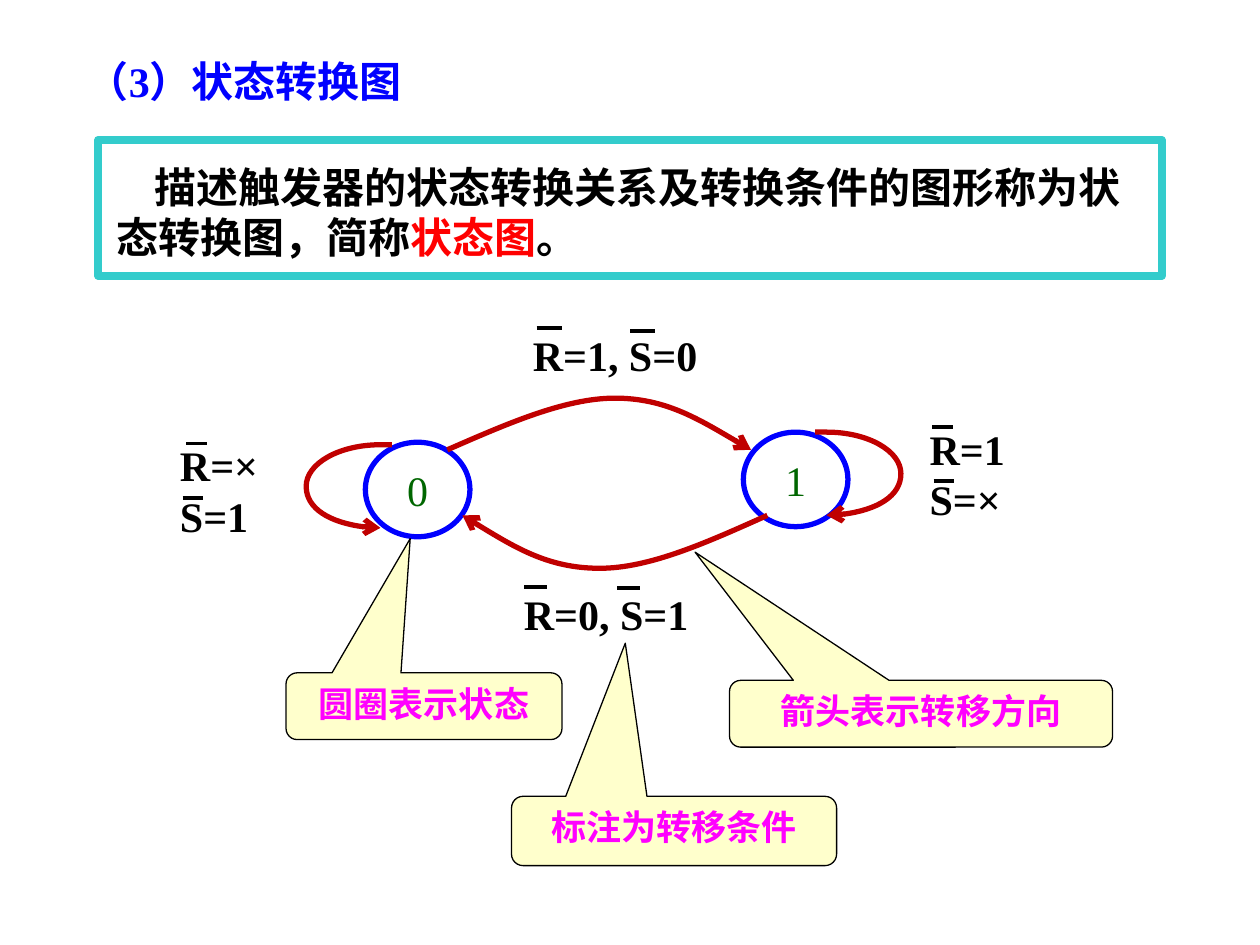
from lxml.etree import SubElement
from pptx import Presentation
from pptx.dml.color import RGBColor
from pptx.enum.shapes import MSO_CONNECTOR as Link, MSO_SHAPE as Kind
from pptx.enum.text import MSO_ANCHOR as Anchor, MSO_AUTO_SIZE as Fit, PP_ALIGN as Align
from pptx.oxml.ns import qn
from pptx.util import Emu, Pt

PX = 9144  # EMU per px, 100 px to the inch
HUES = {
    "blue": "0000FF", "black": "000000", "red": "FF0000", "teal": "33CCCC",
    "green": "006600", "brick": "C00000", "cream": "FFFFCC", "pink": "FF00FF",
}
ROMAN, SANS, HAN = "Times New Roman", "Arial", "Noto Sans CJK SC"


def px(*nums):
    return [Emu(n * PX) for n in nums]


def hue(name):
    return RGBColor.from_string(HUES[name])


class Board:
    def __init__(self, slide):
        self.slide = slide
        self.shapes = slide.shapes

    def style(self, par, color, size=24, face=ROMAN, bold=True, align=Align.LEFT):
        par.alignment = align
        font = par.font
        font.size, font.name, font.bold = Pt(size), face, bold
        font.color.rgb = hue(color)
        base = par._p.pPr.find(qn("a:defRPr"))
        base.find(qn("a:latin")).addnext(
            SubElement(base, qn("a:ea"), typeface=HAN))

    def title(self, text, box):
        shape = self.shapes.title
        shape.left, shape.top, shape.width, shape.height = px(*box)
        frame = shape.text_frame
        frame.text = text
        frame.auto_size = Fit.NONE
        frame.vertical_anchor = Anchor.TOP
        self.style(frame.paragraphs[0], "blue")

    def text(self, lines, box, color="black", face=ROMAN, space=None):
        frame = self.shapes.add_textbox(*px(*box)).text_frame
        frame.word_wrap = True
        frame.text = "\n".join(lines)
        for par in frame.paragraphs:
            par.line_spacing = space
            self.style(par, color, face=face)
        return frame.paragraphs[0]

    def pen(self, shape, color, width):
        shape.line.color.rgb = hue(color)
        shape.line.width = Pt(width)

    def shape(self, kind, box, line, width, fill=None):
        shape = self.shapes.add_shape(kind, *px(*box))
        shape.shadow.inherit = False
        self.pen(shape, line, width)
        if fill:
            shape.fill.solid()
            shape.fill.fore_color.rgb = hue(fill)
        else:
            shape.fill.background()
        return shape

    def state(self, text, x, y):
        frame = self.shape(Kind.OVAL, (x, y, 83, 75), "blue", 3).text_frame
        frame.word_wrap = False
        frame.vertical_anchor = Anchor.MIDDLE
        frame.text = text
        self.style(frame.paragraphs[0], "green", bold=False, align=Align.CENTER)

    def curve(self, start, *points):
        """Arrow along Bezier curves; each three points make one curve."""
        build = self.shapes.build_freeform(*start, scale=PX)
        build.add_line_segments(points, close=False)
        shape = build.convert_to_shape()
        shape.shadow.inherit = False
        shape.fill.background()
        self.pen(shape, "brick", 3)
        SubElement(shape.line._get_or_add_ln(), qn("a:tailEnd"), type="arrow")
        path = next(shape._element.iter(qn("a:path")))
        steps = path.findall(qn("a:lnTo"))
        for i in range(0, len(steps), 3):
            bend = SubElement(path, qn("a:cubicBezTo"))
            for step in steps[i:i + 3]:
                bend.append(step[0])
                path.remove(step)

    def loop(self, x, y, side):
        """Arrow from a state back to itself, bulging left (-1) or right (1)."""
        steps = [(3, 0), (6, 0), (9, 0), (42, 0), (68, 15), (68, 33),
                 (68, 51), (42, 66), (9, 66)]
        self.curve((x, y), *[(x + side * dx, y + dy) for dx, dy in steps])

    def bar(self, x, y, length):
        """Overline that marks a negated input."""
        line = self.shapes.add_connector(
            Link.STRAIGHT, *px(x, y, x + length, y))
        self.pen(line, "black", 2.25)
        SubElement(line._element.spPr, qn("a:effectLst"))

    def note(self, text, box, tip):
        shape = self.shape(
            Kind.ROUNDED_RECTANGULAR_CALLOUT, box, "black", 0.75, "cream")
        shape.adjustments[0], shape.adjustments[1] = tip
        frame = shape.text_frame
        frame.vertical_anchor = Anchor.TOP
        frame.word_wrap = True
        frame.text = text
        self.style(frame.paragraphs[0], "pink", 20, SANS, align=Align.CENTER)


def main():
    deck = Presentation()
    deck.slide_width, deck.slide_height = px(1000, 750)
    board = Board(deck.slides.add_slide(deck.slide_layouts[5]))

    # Heading and definition
    board.title("（3）状态转换图", (59, 39, 480, 50))
    par = board.text(["描述触发器的状态转换关系及转换条件的图形称为状态转换图，简称"],
                     (83, 123, 835, 91), face=HAN)
    par._p.pPr.set("indent", str(30 * PX))
    for text, color in (("状态图", "red"), ("。", "black")):
        run = par.add_run()
        run.text = text
        run.font.color.rgb = hue(color)
    board.shape(Kind.RECTANGLE, (78, 111, 844, 108), "teal", 4.5)

    # States and transitions
    board.state("0", 290, 351)
    board.loop(311, 353, -1)
    board.state("1", 590, 343)
    board.curve((355, 357), (401, 337), (448, 316), (488, 316),
                (528, 316), (562, 337), (596, 357))
    board.curve((609, 409), (562, 430), (516, 451), (476, 451),
                (435, 451), (401, 430), (367, 409))
    board.loop(647, 343, 1)

    # Conditions: lines, box, line spacing, bar starts, bar length
    labels = [
        (["R=×", "S=1"], (133, 344, 102, 91), None, [(148, 352), (145, 395)], 16),
        (["R=1", "S=×"], (728, 331, 126, 91), None, [(740, 339), (741, 382)], 16),
        (["R=0, S=1"], (406, 454, 196, 59), 1.2, [(416, 466), (490, 467)], 18),
        (["R=1, S=0"], (413, 249, 212, 54), 1.2, [(426, 260), (500, 263)], 20),
    ]
    for lines, box, space, bars, length in labels:
        board.text(lines, box, space=space)
        for x, y in bars:
            board.bar(x, y, length)

    # Callouts
    board.note("圆圈表示状态", (227, 534, 219, 53), (-0.05, -2.51))
    board.note("箭头表示转移方向", (579, 540, 304, 53), (-0.59, -2.42))
    board.note("标注为转移条件", (406, 632, 258, 55), (-0.15, -2.71))

    deck.save("out.pptx")


if __name__ == "__main__":
    main()
